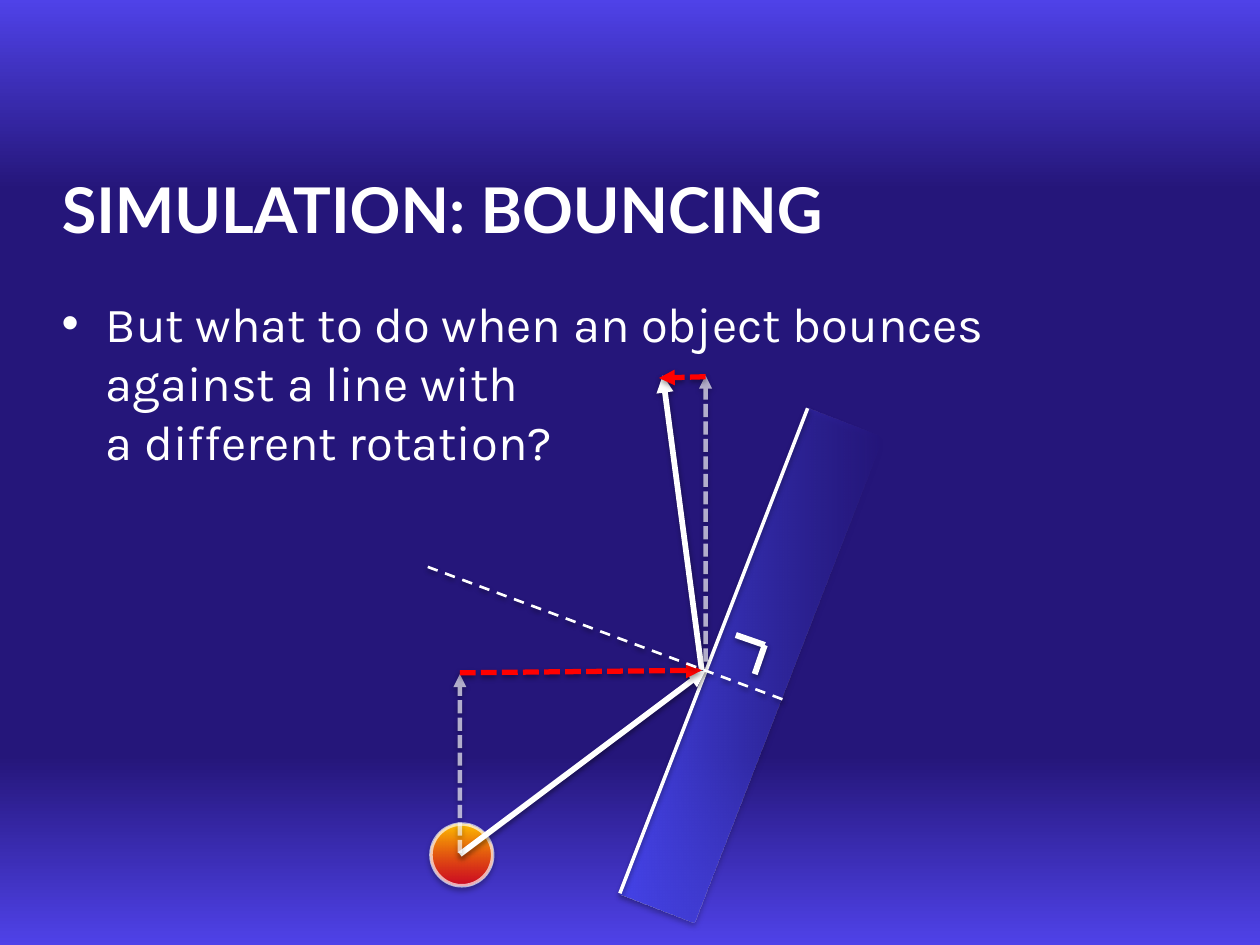
from lxml import etree
from pptx import Presentation
from pptx import util as u
from pptx.dml.color import RGBColor
from pptx.enum import dml, shapes, text
from pptx.oxml.ns import qn

WHITE, RED = "FFFFFF", "FF0000"


def color(hex_value):
    return RGBColor.from_string(hex_value)


def child(parent, tag, **attrs):
    return etree.SubElement(parent, qn(tag), {k: str(v) for k, v in attrs.items()})


def add_color(parent, hex_value, alpha=100):
    clr = child(parent, "a:srgbClr", val=hex_value)
    if alpha < 100:
        child(clr, "a:alpha", val=alpha * 1000)


def set_gradient(owner, fill, stops, angle):
    """Stops are (position, colour, opacity); the angle runs clockwise on the slide."""
    fill.gradient()
    grad = next(owner.element.iter(qn("a:gradFill")))
    for old in list(grad):
        grad.remove(old)
    grad.set("rotWithShape", "0")
    stop_list = child(grad, "a:gsLst")
    for position, hex_value, alpha in stops:
        add_color(child(stop_list, "a:gs", pos=position * 1000), hex_value, alpha)
    child(grad, "a:lin", ang=angle * 60000, scaled=0)


def set_line(line, hex_value, width, dash=None, alpha=100, arrow=False):
    line.width = u.Pt(width)
    line.fill.solid()
    line.fill.fore_color.rgb = color(hex_value)
    if dash:
        line.dash_style = dash
    ln = line._get_or_add_ln()
    if alpha < 100:
        child(next(ln.iter(qn("a:srgbClr"))), "a:alpha", val=alpha * 1000)
    if arrow:
        child(ln, "a:tailEnd", type="triangle")


def set_shadow(sp, alpha, distance):
    effects = child(sp.element.spPr, "a:effectLst")
    shadow = child(effects, "a:outerShdw", blurRad=u.Pt(3.1), dist=u.Pt(distance),
                   dir=90 * 60000, rotWithShape=0)
    add_color(shadow, "000000", alpha)


def write(p, words, font, size, hex_value=WHITE, bold=False):
    for i, part in enumerate(words.split("\n")):
        if i:
            p.add_line_break()
        r = p.add_run()
        r.text = part
        r.font.name, r.font.size, r.font.bold = font, u.Pt(size), bold
        r.font.color.rgb = color(hex_value)


class BounceSlide:
    title_font, body_font = "Lato", "Karla"

    def __init__(self, prs):
        self.s = prs.slides.add_slide(prs.slide_layouts[5])

    def background(self, stops):
        set_gradient(self.s, self.s.background.fill, stops, 90)

    def title(self, words, box):
        sp = self.s.shapes.title
        sp.left, sp.top, sp.width, sp.height = map(u.Inches, box)
        tf = sp.text_frame
        tf.vertical_anchor = text.MSO_ANCHOR.MIDDLE
        p = tf.paragraphs[0]
        p.alignment = text.PP_ALIGN.LEFT
        write(p, words, self.title_font, 36, bold=True)

    def bullet(self, words, box):
        tf = self.s.shapes.add_textbox(*map(u.Inches, box)).text_frame
        tf.word_wrap = True
        p = tf.paragraphs[0]
        pPr = p._p.get_or_add_pPr()
        pPr.set("marL", str(u.Inches(0.35)))
        pPr.set("indent", str(u.Inches(-0.35)))
        child(pPr, "a:buFont", typeface="Arial")
        child(pPr, "a:buChar", char="•")
        write(p, words, self.body_font, 28)

    def shape(self, kind, box, stops, angle, rotation=0, outline=None):
        sp = self.s.shapes.add_shape(kind, *map(u.Inches, box))
        sp.rotation = rotation
        set_gradient(sp, sp.fill, stops, angle)
        if outline:
            set_line(sp.line, **outline)
        else:
            sp.line.fill.background()
        set_shadow(sp, 35, 1.8)

    def line(self, start, end, width, hex_value=WHITE, **style):
        cn = self.s.shapes.add_connector(
            shapes.MSO_CONNECTOR.STRAIGHT, *map(u.Inches, start + end))
        set_line(cn.line, hex_value, width, **style)
        set_shadow(cn, 38, 1.6)


def main():
    prs = Presentation()
    prs.slide_width, prs.slide_height = u.Inches(10), u.Inches(7.5)
    s = BounceSlide(prs)
    s.background([(0, "4F42E8", 100), (20, "25167A", 100),
                  (80, "25167A", 100), (100, "4F42E8", 100)])

    # Tilted wall and its front edge
    s.shape(shapes.MSO_SHAPE.RECTANGLE, (5.65, 3.22, 0.63, 4.13),
            [(0, "4543E8", 100), (100, "4543E8", 0)], 0, rotation=21.2)
    s.line((6.41, 3.24), (4.92, 7.09), 2)

    # Ball
    s.shape(shapes.MSO_SHAPE.OVAL, (3.42, 6.54, 0.49, 0.49),
            [(0, RED, 75), (100, "FFC000", 100)], 270,
            outline=dict(hex_value=WHITE, width=2, alpha=65))

    # Text
    s.title("SIMULATION: BOUNCING", (0.39, 1.03, 9, 1.25))
    s.bullet("But what to do when an object bounces\nagainst a line with\n"
             "a different rotation?", (0.39, 2.28, 9, 4.42))

    # Velocity vectors and their components
    velocity = dict(width=3.25, arrow=True)
    vertical = dict(width=2.5, dash=dml.MSO_LINE.SQUARE_DOT, alpha=65, arrow=True)
    horizontal = dict(width=3, hex_value=RED, dash=dml.MSO_LINE.SQUARE_DOT, arrow=True)
    s.line((5.57, 5.32), (5.26, 2.98), **velocity)
    s.line((3.65, 6.78), (5.6, 5.32), **velocity)
    s.line((3.65, 6.77), (3.65, 5.35), **vertical)
    s.line((3.65, 5.34), (5.57, 5.32), **horizontal)
    s.line((6.21, 5.55), (3.37, 4.49), 1.5, dash=dml.MSO_LINE.DASH)  # wall normal
    s.line((5.6, 5.25), (5.6, 2.98), **vertical)
    s.line((5.6, 2.99), (5.23, 3), **horizontal)

    # Right-angle mark
    corner = (6.07, 5.12)
    for start in ((5.84, 5.04), (5.99, 5.35)):
        s.line(start, corner, 3.5)

    prs.save("out.pptx")


if __name__ == "__main__":
    main()
